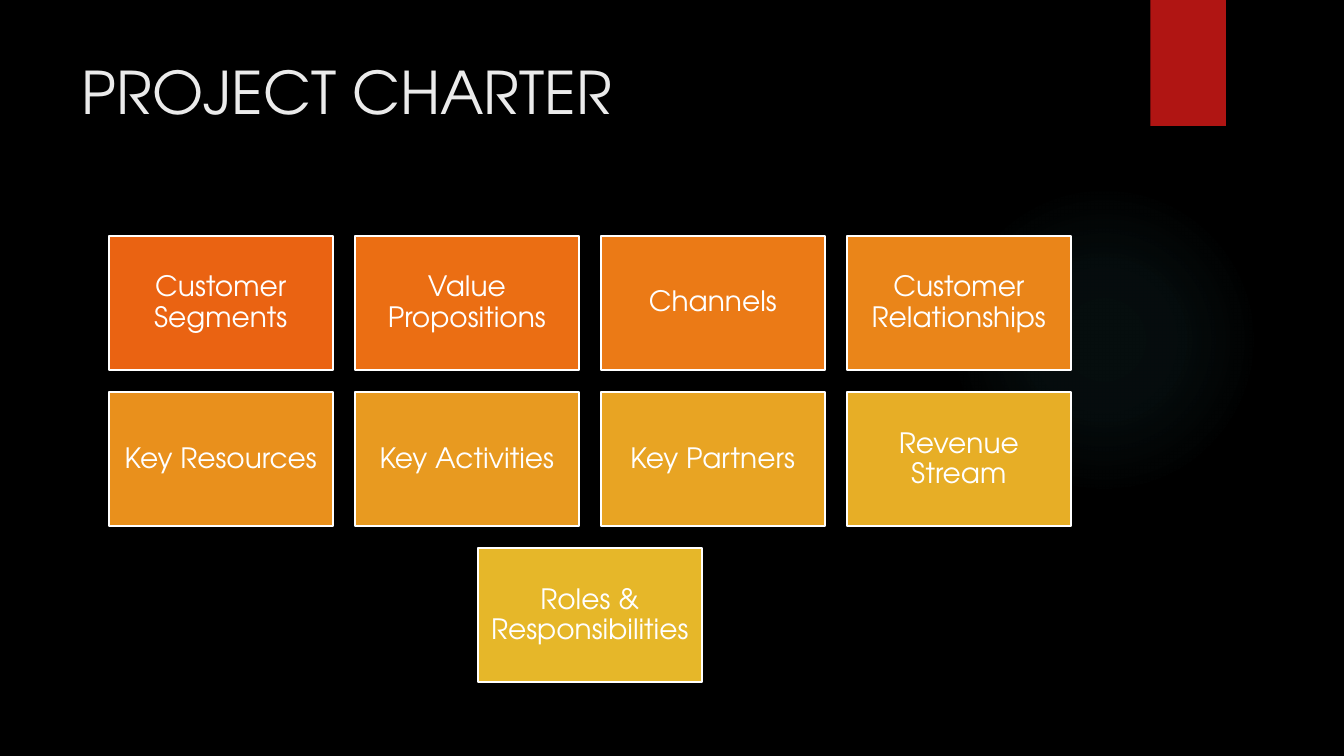
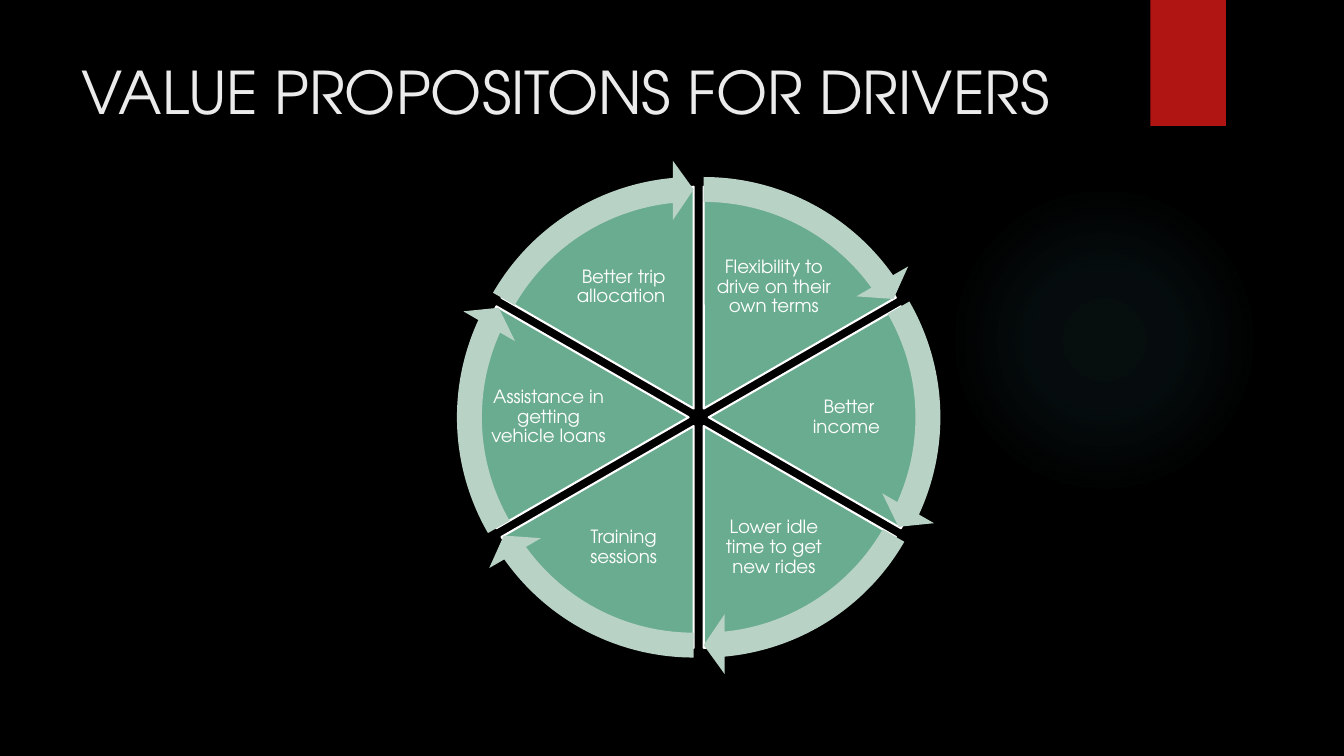
from math import cos, radians, sin

from pptx import Presentation
from pptx.dml.color import RGBColor
from pptx.enum.shapes import MSO_SHAPE
from pptx.enum.text import MSO_ANCHOR, MSO_AUTO_SIZE, PP_ALIGN
from pptx.oxml import parse_xml
from pptx.oxml.ns import nsdecls, qn
from pptx.util import Inches, Pt

RECTANGLE, OVAL = MSO_SHAPE.RECTANGLE, MSO_SHAPE.OVAL
PIE, CIRCULAR_ARROW = MSO_SHAPE.PIE, MSO_SHAPE.CIRCULAR_ARROW
CENTER, LEFT = PP_ALIGN.CENTER, PP_ALIGN.LEFT
TOP, MIDDLE = MSO_ANCHOR.TOP, MSO_ANCHOR.MIDDLE
NO_AUTOFIT = MSO_AUTO_SIZE.NONE

FONT = "TeX Gyre Adventor"
COLORS = {
    "background": "000000",
    "title": "EBEBEB",
    "text": "FFFFFF",
    "outline": "FFFFFF",
    "tab": "B01513",
    "glow": "50B9C1",
    "slice": "6AAC90",
    "arrow": "B9D2C6",
}
SLIDE_SIZE = (13.33, 7.5)
TITLE_BOX = (0.71, 0.5, 10.29, 1.53)
TAB_BOX = (11.41, 0, 0.75, 1.25)
GLOW_BOX = (9.41, 1.83, 3.08, 3.08)
GLOW_STOPS = [(0, 7), (36, 6), (69, 0)]  # position and opacity, in percent

CHARTER_TITLE = "PROJECT CHARTER"
CHARTER_ROWS = [
    [("Customer Segments", "EA6312"), ("Value Propositions", "EB6E13"),
     ("Channels", "EB7A16"), ("Customer Relationships", "EA8519")],
    [("Key Resources", "E9901C"), ("Key Activities", "E89A20"),
     ("Key Partners", "E8A423"), ("Revenue Stream", "E7AE26")],
    [("Roles & Responsibilities", "E6B729")],
]
GRID_LEFT, GRID_TOP = 1.08, 2.34
TILE_WIDTH, TILE_HEIGHT, TILE_GAP = 2.22, 1.33, 0.22

DRIVERS_TITLE = "VALUE PROPOSITONS FOR DRIVERS"
DRIVER_VALUES = [  # clockwise from the top
    "Flexibility to drive on their own terms",
    "Better income ",
    "Lower idle time to get new rides",
    "Training sessions",
    "Assistance in getting vehicle loans",
    "Better trip allocation ",
]
HUB = (6.93, 4.14)
SLICE_OFFSET, LABEL_RADIUS = 0.1, 1.49
PIE_SIZE, ARROW_SIZE = 4.4, 4.94
LABEL_SIZE = (1.2, 0.88)
ARROW_THICKNESS, ARROW_HEAD_WIDTH, ARROW_HEAD_ANGLE = 0.05, 0.06, 5.46
ANGLE_UNIT = 0.6  # adjustment value of one degree


def rgb(value):
    return RGBColor.from_string(value)


def inches(box):
    return [Inches(length) for length in box]


def box_around(center, width, height):
    return center[0] - width / 2, center[1] - height / 2, width, height


def polar(angle, radius):
    """Point at a clockwise angle in degrees and a distance from the hub."""
    turn = radians(angle)
    return HUB[0] + radius * cos(turn), HUB[1] + radius * sin(turn)


def add_filled(page, kind, box, color, outlined=False):
    shape = page.shapes.add_shape(kind, *inches(box))
    shape.shadow.inherit = False
    shape.fill.solid()
    shape.fill.fore_color.rgb = rgb(color)
    if outlined:
        shape.line.color.rgb = rgb(COLORS["outline"])
        shape.line.width = Pt(1.5)
    else:
        shape.line.fill.background()
    return shape


def write(shape, text, size, color, inset=None, align=CENTER, anchor=MIDDLE,
          spacing=0.9):
    frame = shape.text_frame
    frame.word_wrap = True
    frame.auto_size = NO_AUTOFIT
    frame.vertical_anchor = anchor
    if inset is not None:
        frame.margin_left = frame.margin_right = Inches(inset)
        frame.margin_top = frame.margin_bottom = Inches(inset)
    para = frame.paragraphs[0]
    para.alignment = align
    para.line_spacing = spacing
    span = para.add_run()
    span.text = text
    span.font.name = FONT
    span.font.size = Pt(size)
    span.font.color.rgb = rgb(color)


def fade_radially(shape):
    stops = "".join(
        f'<a:gs pos="{position * 1000}"><a:srgbClr val="{COLORS["glow"]}">'
        f'<a:alpha val="{opacity * 1000}"/></a:srgbClr></a:gs>'
        for position, opacity in GLOW_STOPS)
    gradient = parse_xml(
        f'<a:gradFill {nsdecls("a")} rotWithShape="1"><a:gsLst>{stops}</a:gsLst>'
        '<a:path path="circle"><a:fillToRect l="50000" t="50000" r="50000" '
        'b="50000"/></a:path></a:gradFill>')
    properties = shape.element.spPr
    properties.replace(properties.find(qn("a:solidFill")), gradient)


def prepare_layout(deck, layout, page):
    """Put the background, glow, tab and title place on master and layout."""
    fill = deck.slide_master.background.fill
    fill.solid()
    fill.fore_color.rgb = rgb(COLORS["background"])
    title = layout.placeholders[0]
    title.left, title.top, title.width, title.height = inches(TITLE_BOX)
    glow = add_filled(page, OVAL, GLOW_BOX, COLORS["glow"])
    fade_radially(glow)
    tab = add_filled(page, RECTANGLE, TAB_BOX, COLORS["tab"])
    for order, shape in enumerate((glow, tab)):
        shape.element.find(".//" + qn("p:cNvPr")).set("id", str(101 + order))
        layout.shapes.element.insert(2 + order, shape.element)


def add_title(page, text):
    write(page.shapes.title, text, 42, COLORS["title"],
          align=LEFT, anchor=TOP, spacing=1.0)


def build_charter(page):
    add_title(page, CHARTER_TITLE)
    columns = max(len(row) for row in CHARTER_ROWS)
    step_x, step_y = TILE_WIDTH + TILE_GAP, TILE_HEIGHT + TILE_GAP
    for row_index, row in enumerate(CHARTER_ROWS):
        row_left = GRID_LEFT + (columns - len(row)) * step_x / 2
        top = GRID_TOP + row_index * step_y
        for column, (text, color) in enumerate(row):
            box = (row_left + column * step_x, top, TILE_WIDTH, TILE_HEIGHT)
            tile = add_filled(page, RECTANGLE, box, color, outlined=True)
            write(tile, text, 20, COLORS["text"], inset=0.08)


def add_sector(page, kind, size, color, middle, adjustments, outlined=False):
    box = box_around(polar(middle, SLICE_OFFSET), size, size)
    sector = add_filled(page, kind, box, color, outlined)
    for index, value in enumerate(adjustments):
        sector.adjustments[index] = value


def build_drivers(page):
    add_title(page, DRIVERS_TITLE)
    sweep = 360 / len(DRIVER_VALUES)
    starts = [(270 + index * sweep) % 360 for index in range(len(DRIVER_VALUES))]
    for start, text in zip(starts, DRIVER_VALUES):
        middle, end = start + sweep / 2, (start + sweep) % 360
        add_sector(page, PIE, PIE_SIZE, COLORS["slice"], middle,
                   (start * ANGLE_UNIT, end * ANGLE_UNIT), outlined=True)
        label_box = box_around(polar(middle, LABEL_RADIUS), *LABEL_SIZE)
        label = page.shapes.add_textbox(*inches(label_box))
        write(label, text, 13, COLORS["text"], inset=0.02)
    for start in starts:
        neck = (start + sweep - ARROW_HEAD_ANGLE) % 360
        add_sector(page, CIRCULAR_ARROW, ARROW_SIZE, COLORS["arrow"],
                   start + sweep / 2,
                   (ARROW_THICKNESS, ARROW_HEAD_ANGLE * ANGLE_UNIT,
                    neck * ANGLE_UNIT, start * ANGLE_UNIT, ARROW_HEAD_WIDTH))


def main():
    deck = Presentation()
    deck.slide_width, deck.slide_height = inches(SLIDE_SIZE)
    layout = deck.slide_layouts.get_by_name("Title Only")
    charter, drivers = [deck.slides.add_slide(layout) for _ in range(2)]
    prepare_layout(deck, layout, charter)
    build_charter(charter)
    build_drivers(drivers)
    deck.save("out.pptx")


if __name__ == "__main__":
    main()
